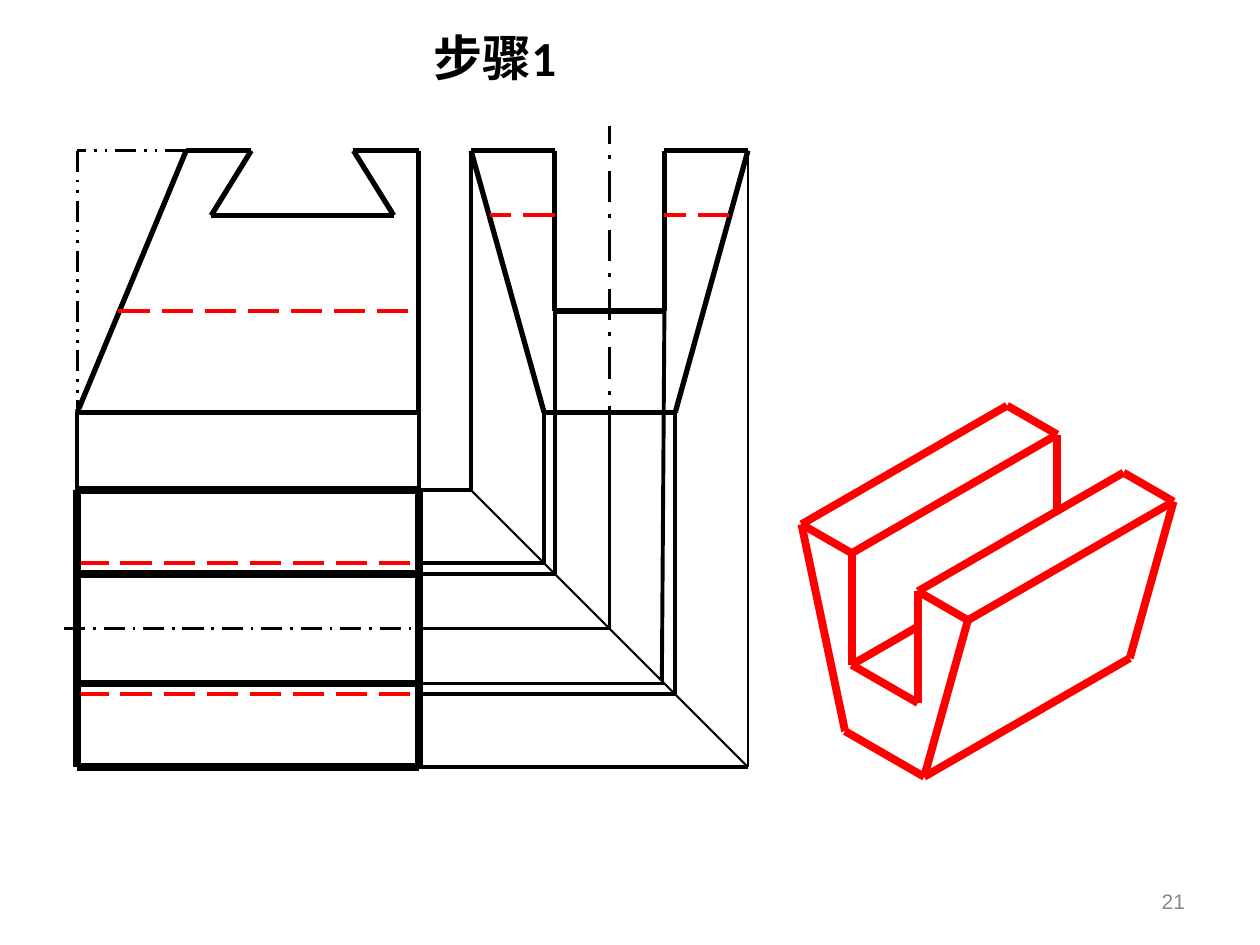
"""Build the slide of step 1: three linked views and a slanted solid view of a grooved block."""
from itertools import pairwise

from lxml.etree import SubElement
from pptx import Presentation
from pptx.dml.color import RGBColor
from pptx.enum.dml import MSO_LINE
from pptx.enum.shapes import MSO_CONNECTOR
from pptx.enum.text import MSO_ANCHOR, PP_ALIGN
from pptx.oxml.ns import qn
from pptx.util import Pt

theme = {
    "black": RGBColor(0, 0, 0), "red": RGBColor(255, 0, 0), "grey": RGBColor(0x89, 0x89, 0x89),
    "title": 28, "page": 12,
    "bold": 4.5, "edge": 3, "thin": 2.25, "fine": 1.5, "hair": 1.25,
}
deck = Presentation()
deck.slide_width, deck.slide_height = Pt(720), Pt(540)
slide = deck.slides.add_slide(deck.slide_layouts[6])


def draw(points, width, ink="black", dash=None):
    """Join the points one by one with straight lines."""
    for start, end in pairwise(points):
        line = slide.shapes.add_connector(
            MSO_CONNECTOR.STRAIGHT, *(Pt(round(n, 2)) for n in (*start, *end)))
        line.line.color.rgb = theme[ink]
        line.line.width = Pt(theme[width])
        if dash:
            line.line.dash_style = dash
        SubElement(line._element.spPr, qn("a:effectLst"))


def write(text, place, align, size, font, ink, bold):
    """Put one line of text in a box."""
    box = slide.shapes.add_textbox(*map(Pt, place))
    frame = box.text_frame
    frame.word_wrap = True
    frame.vertical_anchor = MSO_ANCHOR.MIDDLE
    para = frame.paragraphs[0]
    para.text, para.alignment = text, align
    style = {"size": Pt(theme[size]), "name": font, "bold": bold}
    for key, value in style.items():
        setattr(para.font, key, value)
    para.font.color.rgb = theme[ink]


write("步骤1", (147, 11.5, 271.5, 42), PP_ALIGN.CENTER, "title", "Calibri", "black", True)
write("21", (516.2, 500.4, 168, 28.8), PP_ALIGN.RIGHT, "page", "Arial", "grey", False)

left, right = 44.2, 239.3
top, notch, floor, base = 86.1, 123.1, 177.7, 235.6
outer, foot, slot = (269.2, 427.4), (310.9, 385.9), (316.9, 379.7)
mid, shift = 348.3, 10.9

draw([(202, top), (right, top), (right, base), (left, base), (106.4, top),
      (143.6, top), (120.7, notch), (225, notch), (202, top)], "edge")
draw([(slot[0], floor), (slot[1], floor), (slot[1], top), (outer[1], top), (foot[1], base),
      (foot[0], base), (outer[0], top), (slot[0], top), (slot[0], floor)], "edge")

for start, end, level in [(67.7, right, floor), (slot[0], 279.8, notch), (416.6, slot[1], notch)]:
    draw([(start, level), (end, level)], "thin", "red", MSO_LINE.LONG_DASH)
draw([(mid, 250.1), (mid, 71.8)], "thin", dash=MSO_LINE.LONG_DASH_DOT)
draw([(36.7, mid + shift), (249.3, mid + shift)], "fine", dash=MSO_LINE.LONG_DASH_DOT)

for x in foot:
    draw([(left, x + shift), (right, x + shift)], "thin", "red", MSO_LINE.LONG_DASH)
for x in outer + slot:
    draw([(left, x + shift), (right, x + shift)], "bold")
for x in (left, right):
    draw([(x, outer[0] + shift), (x, outer[1] + shift)], "bold")
    draw([(x, base), (x, outer[0] + shift)], "thin")

face = [(458, 299.6), (486.7, 316.1), (486.7, 379.9), (524.5, 401.7),
        (524.5, 337.9), (553.1, 354.4), (528.1, 443.9), (482.9, 417.8)]
back = [(x + 117.5, y - 67.8) for x, y in face]
draw(face + face[:1], "bold", "red")
for spot in (0, 1, 4, 5, 6):
    draw([face[spot], back[spot]], "bold", "red")
draw([back[0], back[1], (back[1][0], 291.5)], "bold", "red")
draw(back[4:7], "bold", "red")
draw([face[2], (524.5, 358.1)], "bold", "red")

draw([(106.4, top), (left, top), (left, base)], "fine", dash=MSO_LINE.DASH_DOT_DOT)

for x, start, end, width in [
        (outer[0], top, outer[0], "thin"), (outer[1], top, outer[1], "fine"),
        (foot[0], base, foot[0], "thin"), (foot[1], base, foot[1], "thin"),
        (slot[0], floor, slot[0], "thin"), (mid, base, mid, "fine")]:
    draw([(x, start), (x, end + shift)], width)
    draw([(right, x + shift), (x, x + shift)], "fine" if x == mid else "thin")
draw([(slot[1], floor), (378.2, 389.1)], "thin")
draw([(right, slot[1] + shift), (slot[1], slot[1] + shift)], "thin")
draw([(x, x + shift) for x in outer], "hair")

deck.save("out.pptx")
